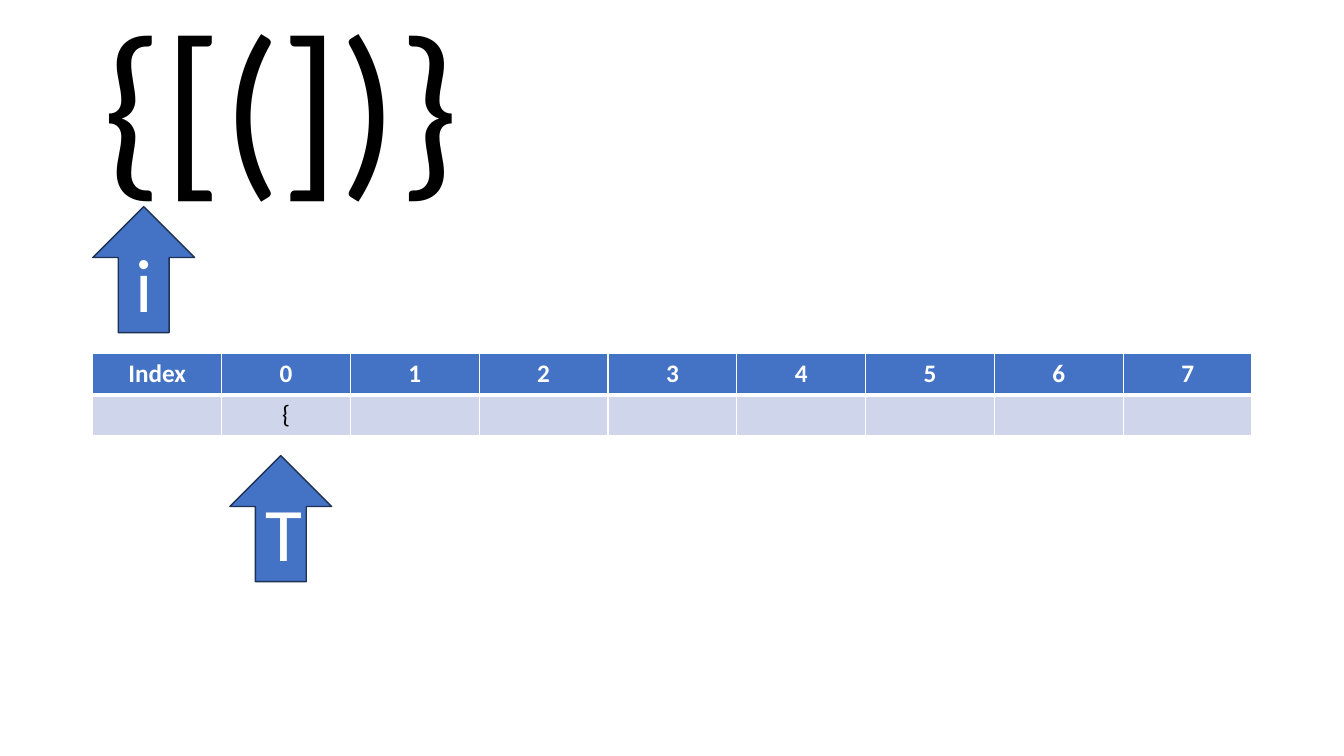
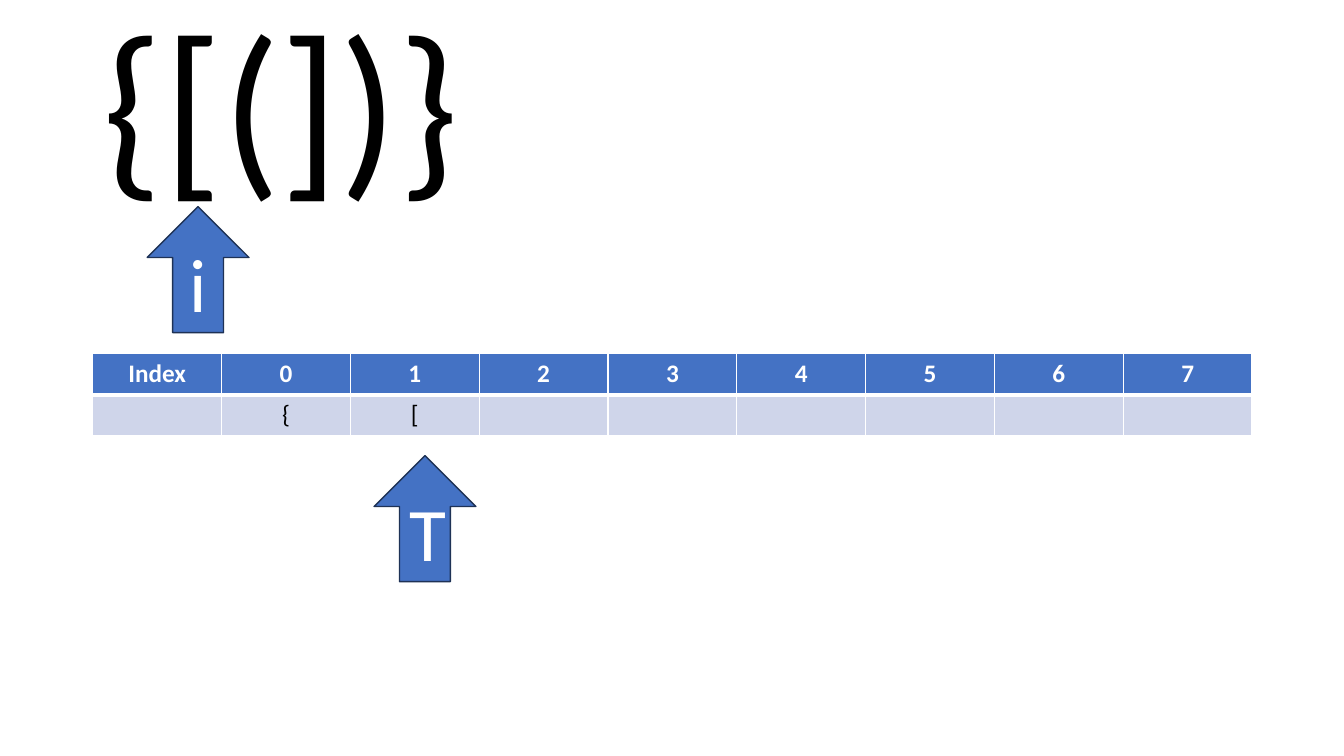
from lxml import etree
from pptx import Presentation
from pptx.dml.color import RGBColor
from pptx.enum.shapes import MSO_SHAPE
from pptx.enum.text import MSO_ANCHOR, MSO_AUTO_SIZE, PP_ALIGN
from pptx.oxml.ns import qn
from pptx.util import Inches, Pt

BLUE = RGBColor(0x44, 0x72, 0xC4)
NAVY = RGBColor(0x1E, 0x32, 0x56)
PALE = RGBColor(0xCF, 0xD5, 0xEA)
WHITE = RGBColor(0xFF, 0xFF, 0xFF)
BLACK = RGBColor(0x00, 0x00, 0x00)
FONT = "Calibri"
LEFT = 0.92
EXPRESSION = "{[(])}"
HEADERS = ["Index", "0", "1", "2", "3", "4", "5", "6", "7"]

# Stack contents, left of arrow i, left of arrow T
STEPS = [
    (["{"], 0.92, 2.28),
    (["{", "["], 1.46, 3.71),
]


def add_run(p, text, size, color, bold=False):
    r = p.add_run()
    r.text = text
    r.font.name = FONT
    r.font.size = Pt(size)
    r.font.bold = bold
    r.font.color.rgb = color


def set_borders(cell, bottom):
    tcPr = cell._tc.get_or_add_tcPr()
    widths = [("a:lnL", 1), ("a:lnR", 1), ("a:lnT", 1), ("a:lnB", bottom)]
    for i, (tag, width) in enumerate(widths):
        ln = etree.Element(qn(tag), w=str(Pt(width)))
        fill = etree.SubElement(ln, qn("a:solidFill"))
        etree.SubElement(fill, qn("a:srgbClr"), val=str(WHITE))
        tcPr.insert(i, ln)


prs = Presentation()
prs.slide_width = Inches(13.33)
prs.slide_height = Inches(7.5)

for stack, i_left, top_left in STEPS:
    s = prs.slides.add_slide(prs.slide_layouts[6])

    # Expression being checked
    tf = s.shapes.add_textbox(Inches(LEFT), Inches(0.4), Inches(4.38), Inches(1.45)).text_frame
    tf.word_wrap = True
    tf.auto_size = MSO_AUTO_SIZE.NONE
    tf.vertical_anchor = MSO_ANCHOR.MIDDLE
    p = tf.paragraphs[0]
    p.line_spacing = 0.9
    add_run(p, EXPRESSION, 137.7, BLACK)

    # Stack table
    cells = [""] + stack + [""] * (len(HEADERS) - 1 - len(stack))
    table = s.shapes.add_table(2, len(HEADERS), Inches(LEFT), Inches(3.51),
                               Inches(11.5), Inches(0.81)).table
    rows = [(HEADERS, BLUE, WHITE, True, 3), (cells, PALE, BLACK, False, 1)]
    for row, (texts, fill, color, bold, bottom) in enumerate(rows):
        for col, text in enumerate(texts):
            cell = table.cell(row, col)
            cell.fill.solid()
            cell.fill.fore_color.rgb = fill
            set_borders(cell, bottom)
            p = cell.text_frame.paragraphs[0]
            p.alignment = PP_ALIGN.CENTER
            if text:
                add_run(p, text, 18, color, bold)

    # Arrows: reading position i and stack top T
    for label, left, top in [("i", i_left, 2.05), ("T", top_left, 4.52)]:
        sp = s.shapes.add_shape(MSO_SHAPE.UP_ARROW, Inches(left), Inches(top),
                                Inches(1.01), Inches(1.25))
        sp.shadow.inherit = False
        sp.fill.solid()
        sp.fill.fore_color.rgb = BLUE
        sp.line.color.rgb = NAVY
        sp.line.width = Pt(1)
        tf = sp.text_frame
        tf.vertical_anchor = MSO_ANCHOR.MIDDLE
        p = tf.paragraphs[0]
        p.alignment = PP_ALIGN.CENTER
        add_run(p, label, 54, WHITE)

prs.save("out.pptx")
